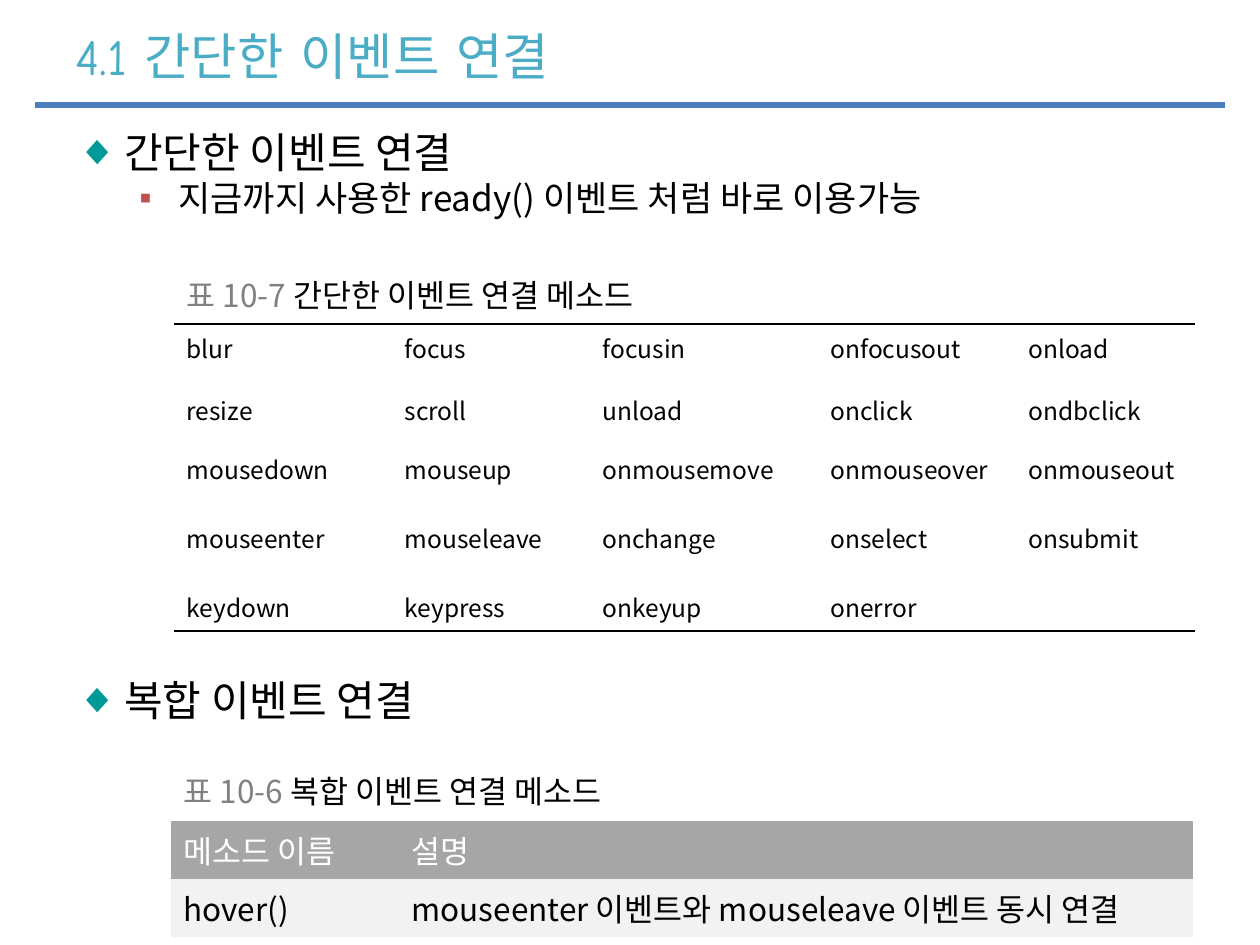
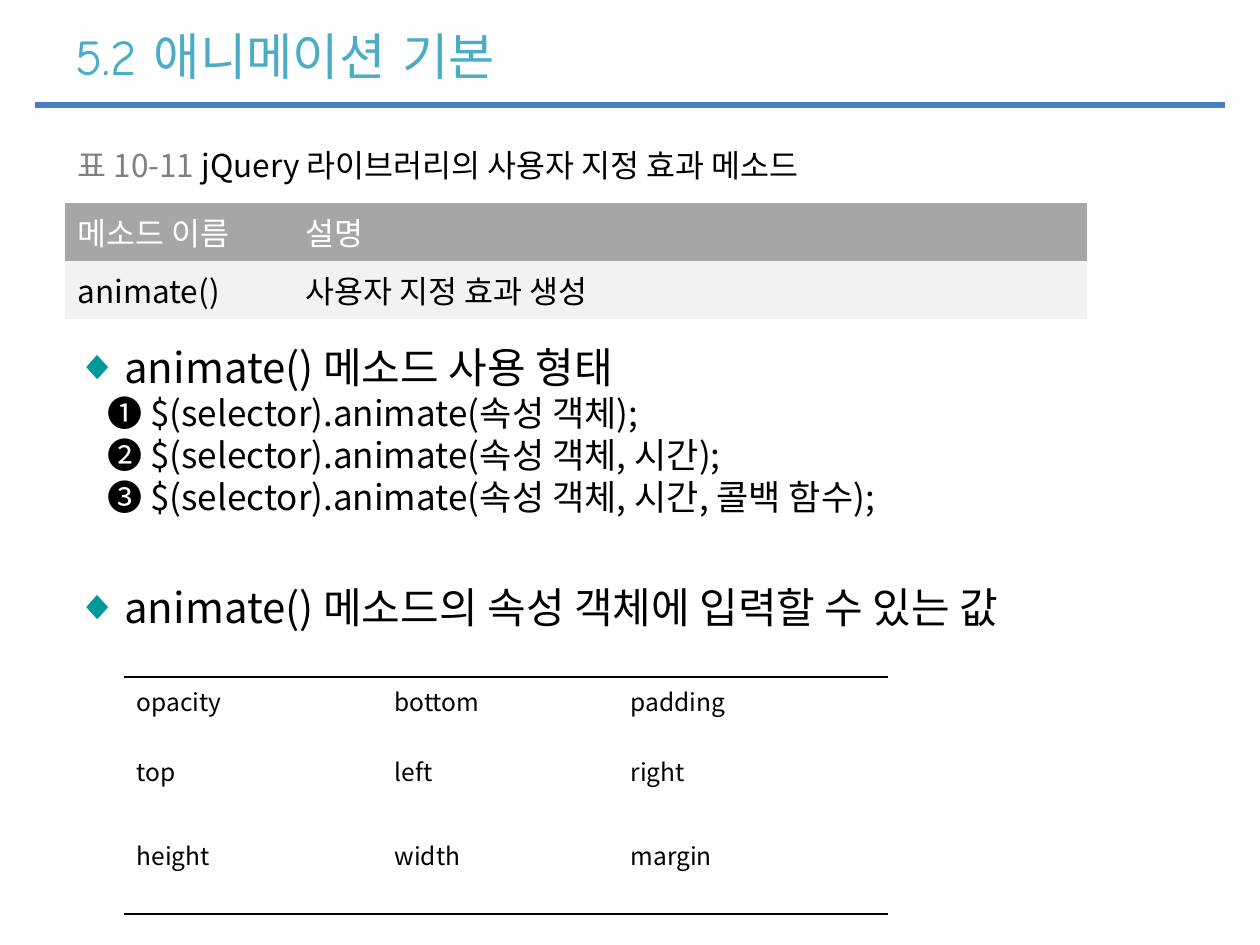
"""Build two lecture slides on event binding and basic animation."""
from dataclasses import dataclass

import lxml.etree
import pptx
import pptx.dml.color
import pptx.enum.shapes
import pptx.enum.text
import pptx.oxml.ns
import pptx.util

EMU_PER_PX = 914400 / 126
FONT = "Noto Sans CJK KR"
TITLE_FONT = "Comic Neue"
NO_STYLE = "{2D5ABB26-0587-4C30-8999-92F81FD0307C}"
COLORS = {
    "title": "4BACC6", "rule": "4B7EBC", "text": "000000", "number": "808080",
    "diamond": "009999", "square": "C0504D", "white": "FFFFFF",
    "header": "A6A6A6", "row": "F2F2F2",
}


@dataclass(frozen=True)
class Level:
    size: int
    margin: int
    hanging: int = 0
    bullet: str = ""
    color: str = "text"


@dataclass(frozen=True)
class Outline:
    top: int
    height: int
    lines: tuple[tuple[Level, str], ...]


@dataclass(frozen=True)
class Caption:
    left: int
    top: int
    number: str
    text: str


@dataclass(frozen=True)
class WordTable:
    left: int
    top: int
    cols: tuple[int, ...]
    rows: tuple[int, ...]
    words: tuple[str, ...]


@dataclass(frozen=True)
class MethodTable:
    left: int
    top: int
    method: str
    description: str


HEADING = Level(24, 48, 48, "◆", "diamond")
POINT = Level(20, 102, 39, "▪", "square")
STEP = Level(20, 31)


def px(n: int) -> pptx.util.Emu:
    return pptx.util.Emu(round(n * EMU_PER_PX))


def rgb(name: str) -> pptx.dml.color.RGBColor:
    return pptx.dml.color.RGBColor.from_string(COLORS[name])


def add_tag(parent, tag: str, **attrs: str):
    return lxml.etree.SubElement(parent, pptx.oxml.ns.qn(tag), **attrs)


def style_run(r, size: float, color: str, font: str = FONT) -> None:
    r.font.size = pptx.util.Pt(size)
    r.font.bold = False
    r.font.color.rgb = rgb(color)
    r.font.name = font
    add_tag(r._r.get_or_add_rPr(), "a:ea", typeface=font)


def add_title(slide, text: str) -> None:
    sp = slide.shapes.title
    sp.left, sp.top, sp.width, sp.height = px(63), px(16), px(1134), px(79)
    tf = sp.text_frame
    tf.text = text
    tf.auto_size = pptx.enum.text.MSO_AUTO_SIZE.NONE
    tf.vertical_anchor = pptx.enum.text.MSO_ANCHOR.MIDDLE
    p = tf.paragraphs[0]
    p.alignment = pptx.enum.text.PP_ALIGN.LEFT
    style_run(p.runs[0], 28.8, "title", TITLE_FONT)


def add_rule(slide) -> None:
    line = slide.shapes.add_connector(
        pptx.enum.shapes.MSO_CONNECTOR.STRAIGHT, px(35), px(105), px(1225), px(105))
    line.line.color.rgb = rgb("rule")
    line.line.width = pptx.util.Pt(3.5)
    add_tag(line._element.spPr, "a:effectLst")


def format_level(p, level: Level) -> None:
    pPr = p._p.get_or_add_pPr()
    pPr.set("marL", str(px(level.margin)))
    pPr.set("indent", str(-px(level.hanging)))
    if level.bullet:
        clr = add_tag(pPr, "a:buClr")
        add_tag(clr, "a:srgbClr", val=COLORS[level.color])
        add_tag(pPr, "a:buFont", typeface="Arial")
        add_tag(pPr, "a:buChar", char=level.bullet)
    else:
        add_tag(pPr, "a:buNone")
    style_run(p.runs[0], level.size, "text")


def add_outline(slide, outline: Outline) -> None:
    sp = slide.shapes.add_textbox(px(64), px(outline.top), px(1160), px(outline.height))
    tf = sp.text_frame
    tf.word_wrap = True
    tf.margin_top = tf.margin_bottom = 0
    for i, (level, text) in enumerate(outline.lines):
        p = tf.add_paragraph() if i else tf.paragraphs[0]
        p.text = text
        p.line_spacing = 0.83
        if i:
            p.space_before = pptx.util.Pt(4)
        format_level(p, level)


def add_grid(slide, left: int, top: int, cols: tuple[int, ...], rows: tuple[int, ...]):
    frame = slide.shapes.add_table(
        len(rows), len(cols), px(left), px(top), px(sum(cols)), px(sum(rows)))
    table = frame.table
    table.first_row = table.horz_banding = False
    table._tbl.tblPr.find(pptx.oxml.ns.qn("a:tableStyleId")).text = NO_STYLE
    for col, width in zip(table.columns, cols):
        col.width = px(width)
    for row, height in zip(table.rows, rows):
        row.height = px(height)
    return table


def fill_cell(cell, fill: str) -> None:
    cell.fill.solid()
    cell.fill.fore_color.rgb = rgb(fill)


def add_border(cell, side: str) -> None:
    tcPr = cell._tc.get_or_add_tcPr()
    ln = add_tag(tcPr, f"a:{side}", w=str(pptx.util.Pt(1)))
    fill = add_tag(ln, "a:solidFill")
    add_tag(fill, "a:srgbClr", val=COLORS["text"])
    tcPr.insert(0, ln)


def add_caption(slide, caption: Caption) -> None:
    cell = add_grid(slide, caption.left, caption.top, (840,), (52,)).cell(0, 0)
    fill_cell(cell, "white")
    p = cell.text_frame.paragraphs[0]
    for text, color in ((f"표 {caption.number} ", "number"), (caption.text, "text")):
        r = p.add_run()
        r.text = text
        style_run(r, 18, color)


def add_words(slide, spec: WordTable) -> None:
    table = add_grid(slide, spec.left, spec.top, spec.cols, spec.rows)
    last = len(spec.rows) - 1
    for i, word in enumerate(spec.words):
        row, col = divmod(i, len(spec.cols))
        cell = table.cell(row, col)
        cell.fill.background()
        p = cell.text_frame.paragraphs[0]
        if word:
            p.text = word
            style_run(p.runs[0], 14, "text")
        else:
            add_tag(p._p, "a:endParaRPr", sz="1400")
        if row == 0:
            add_border(cell, "lnT")
        if row == last:
            add_border(cell, "lnB")


def add_methods(slide, spec: MethodTable) -> None:
    table = add_grid(slide, spec.left, spec.top, (228, 794), (58, 58))
    rows = (
        (("메소드 이름", "설명"), "header", "white"),
        ((spec.method, spec.description), "row", "text"),
    )
    for row, (texts, fill, color) in enumerate(rows):
        for col, text in enumerate(texts):
            cell = table.cell(row, col)
            cell.text_frame.text = text
            fill_cell(cell, fill)
            style_run(cell.text_frame.paragraphs[0].runs[0], 18, color)


DRAW = {Outline: add_outline, Caption: add_caption, WordTable: add_words,
        MethodTable: add_methods}

EVENT_WORDS = (
    "blur", "focus", "focusin", "onfocusout", "onload",
    "resize", "scroll", "unload", "onclick", "ondbclick",
    "mousedown", "mouseup", "onmousemove", "onmouseover", "onmouseout",
    "mouseenter", "mouseleave", "onchange", "onselect", "onsubmit",
    "keydown", "keypress", "onkeyup", "onerror", "",
)
PROPERTY_WORDS = (
    "opacity", "bottom", "padding",
    "top", "left", "right",
    "height", "width", "margin",
)

SLIDES = (
    ("4.1 간단한 이벤트 연결", (
        Caption(171, 761, "10-6", "복합 이벤트 연결 메소드"),
        Outline(135, 105, (
            (HEADING, "간단한 이벤트 연결"),
            (POINT, "지금까지 사용한 ready() 이벤트 처럼 바로 이용가능"),
        )),
        Outline(683, 55, ((HEADING, "복합 이벤트 연결"),)),
        WordTable(174, 324, (218, 198, 228, 198, 179), (62, 59, 69, 69, 48), EVENT_WORDS),
        Caption(174, 265, "10-7", "간단한 이벤트 연결 메소드"),
        MethodTable(171, 821, "hover()", "mouseenter 이벤트와 mouseleave 이벤트 동시 연결"),
    )),
    ("5.2 애니메이션 기본", (
        Caption(65, 135, "10-11", "jQuery 라이브러리의 사용자 지정 효과 메소드"),
        Outline(350, 205, (
            (HEADING, "animate() 메소드 사용 형태"),
            (STEP, "❶ $(selector).animate(속성 객체);"),
            (STEP, "❷ $(selector).animate(속성 객체, 시간);"),
            (STEP, "❸ $(selector).animate(속성 객체, 시간, 콜백 함수);"),
        )),
        Outline(590, 55, ((HEADING, "animate() 메소드의 속성 객체에 입력할 수 있는 값"),)),
        MethodTable(65, 203, "animate()", "사용자 지정 효과 생성"),
        WordTable(124, 677, (258, 236, 270), (70, 84, 83), PROPERTY_WORDS),
    )),
)


def main() -> None:
    prs = pptx.Presentation()
    prs.slide_width, prs.slide_height = px(1260), px(945)
    for title, items in SLIDES:
        slide = prs.slides.add_slide(prs.slide_layouts[5])
        add_title(slide, title)
        add_rule(slide)
        for item in items:
            DRAW[type(item)](slide, item)
    prs.save("out.pptx")


if __name__ == "__main__":
    main()
